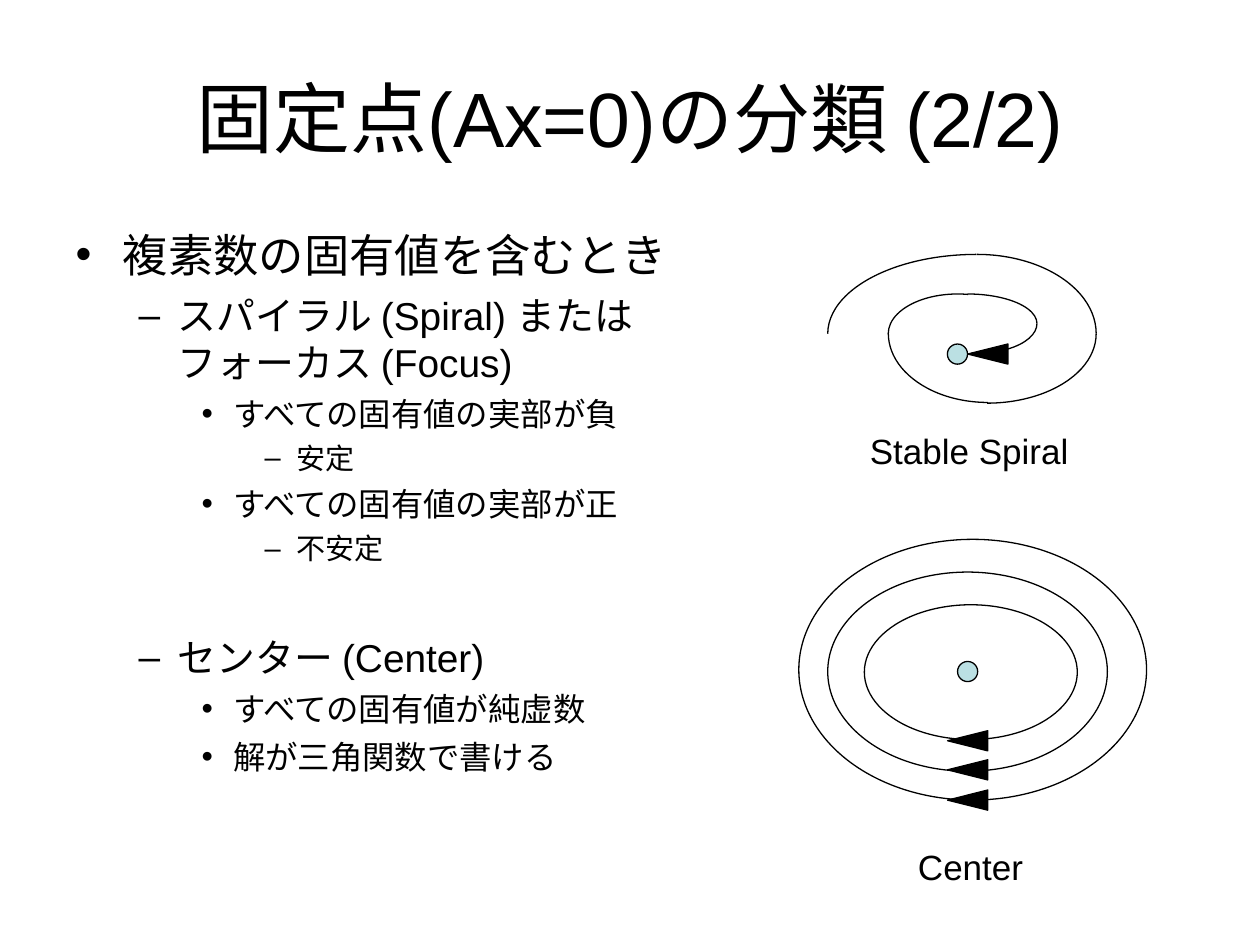
from pptx import Presentation
from pptx.dml.color import RGBColor
from pptx.enum.shapes import MSO_SHAPE
from pptx.enum.text import MSO_ANCHOR, MSO_AUTO_SIZE, PP_ALIGN
from pptx.util import Pt

ARC = MSO_SHAPE.ARC
OVAL = MSO_SHAPE.OVAL
TRIANGLE = MSO_SHAPE.ISOSCELES_TRIANGLE
CENTER = PP_ALIGN.CENTER
MIDDLE = MSO_ANCHOR.MIDDLE
NO_AUTOFIT = MSO_AUTO_SIZE.NONE
GROW_TO_TEXT = MSO_AUTO_SIZE.SHAPE_TO_FIT_TEXT

BLACK = RGBColor(0x00, 0x00, 0x00)
PALE_BLUE = RGBColor(0xBB, 0xE0, 0xE3)
ARC_UNITS_PER_DEGREE = 0.6

presentation = Presentation()
presentation.slide_width = Pt(720)
presentation.slide_height = Pt(540)
slide = presentation.slides.add_slide(presentation.slide_layouts[1])


def place(shape, left, top, width, height):
    frame = {"left": left, "top": top, "width": width, "height": height}
    for name, value in frame.items():
        setattr(shape, name, Pt(value))


def draw(kind, left, top, width, height, fill=None):
    shape = slide.shapes.add_shape(
        kind, Pt(left), Pt(top), Pt(width), Pt(height))
    shape.shadow.inherit = False
    shape.line.color.rgb = BLACK
    shape.line.width = Pt(0.75)
    if fill is None:
        shape.fill.background()
    else:
        shape.fill.solid()
        shape.fill.fore_color.rgb = fill
    return shape


title = slide.shapes.title
place(title, 36, 21.6, 648, 90)
title.text_frame.text = "固定点(Ax=0)の分類 (2/2)"
title.text_frame.auto_size = NO_AUTOFIT
title.text_frame.vertical_anchor = MIDDLE
title_paragraph = title.text_frame.paragraphs[0]
title_paragraph.alignment = CENTER
title_font = {"name": "Arial", "size": Pt(44)}
for name, value in title_font.items():
    setattr(title_paragraph.font, name, value)
title_paragraph.font.color.rgb = BLACK

body = slide.placeholders[1]
place(body, 36, 126, 369.4, 356.4)
body.text_frame.auto_size = NO_AUTOFIT

LEVEL_SIZES = [25.9, 22.2, 18.5, 16.6]
LEVEL_GAPS = [7, 6, 5, 4.5]
SECTION_GAP = 33
outline = [
    (0, "複素数の固有値を含むとき", 0),
    (1, "スパイラル (Spiral) または\vフォーカス (Focus)", 0),
    (2, "すべての固有値の実部が負", 0),
    (3, "安定", 0),
    (2, "すべての固有値の実部が正", 0),
    (3, "不安定", 0),
    (1, "センター (Center)", SECTION_GAP),
    (2, "すべての固有値が純虚数", 0),
    (2, "解が三角関数で書ける", 0),
]
for index, (level, text, extra_gap) in enumerate(outline):
    if index == 0:
        paragraph = body.text_frame.paragraphs[0]
    else:
        paragraph = body.text_frame.add_paragraph()
    paragraph.text = text
    paragraph.level = level
    paragraph.space_before = Pt(LEVEL_GAPS[level] + extra_gap)
    paragraph.font.name = "Arial"
    paragraph.font.size = Pt(LEVEL_SIZES[level])
    paragraph.font.color.rgb = BLACK

orbits = [
    (456.5, 308.2, 198.7, 149),
    (473, 326.9, 159.8, 113.8),
    (493.9, 345.6, 121.7, 77),
]
for orbit in orbits:
    draw(OVAL, *orbit)

spiral_arcs = [
    (473, 145.4, 170, 90.7, 180, 270),
    (490.3, 145.4, 136.1, 90.7, 270, 0),
    (501.8, 151.2, 124.6, 79.2, 0, 90),
    (507.6, 150.8, 113.8, 79.2, 90, 180),
    (507.6, 168, 79.2, 45.4, 180, 285),
    (513.4, 168, 79.2, 33.8, 270, 0),
    (524.9, 168, 67.7, 33.8, 0, 102),
]
for left, top, width, height, start, end in spiral_arcs:
    arc = draw(ARC, left, top, width, height)
    arc.adjustments[0] = start * ARC_UNITS_PER_DEGREE
    arc.adjustments[1] = end * ARC_UNITS_PER_DEGREE

arrowheads = [(547.2, 411.8), (547.2, 428.4), (547.2, 445.7), (558.7, 190.8)]
for left, top in arrowheads:
    arrowhead = draw(TRIANGLE, left, top, 11.5, 23, BLACK)
    arrowhead.rotation = 270

fixed_points = [(547.2, 378), (541.4, 196.6)]
for left, top in fixed_points:
    draw(OVAL, left, top, 11.5, 11.5, PALE_BLUE)

captions = [
    ("Stable Spiral", 490, 241.9, 130),
    ("Center", 517.5, 479.5, 78),
]
for text, left, top, width in captions:
    caption = slide.shapes.add_textbox(Pt(left), Pt(top), Pt(width), Pt(31.7))
    caption.text_frame.word_wrap = False
    caption.text_frame.auto_size = GROW_TO_TEXT
    caption.text_frame.text = text
    caption_font = caption.text_frame.paragraphs[0].font
    for name, value in {"name": "Arial", "size": Pt(20)}.items():
        setattr(caption_font, name, value)
    caption_font.color.rgb = BLACK

presentation.save("out.pptx")
